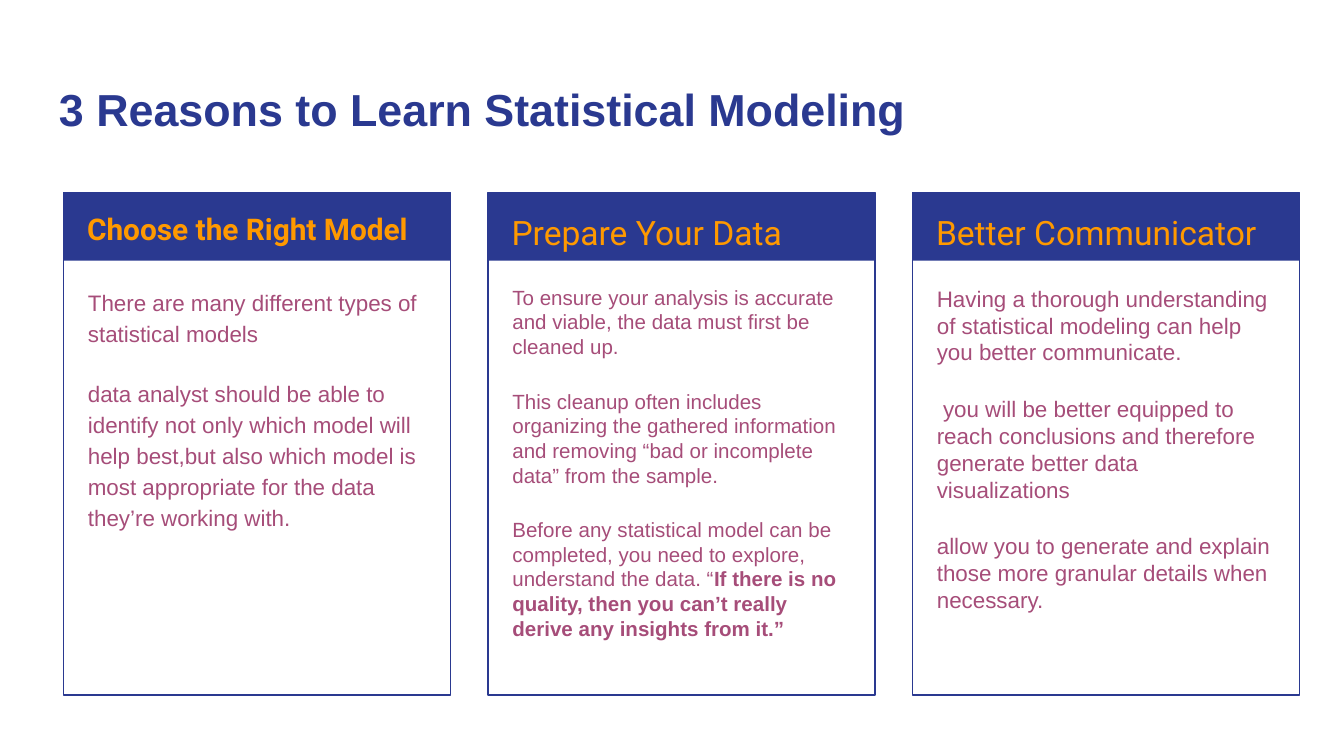
from dataclasses import dataclass

import pptx
import pptx.dml.color
import pptx.enum.shapes
import pptx.enum.text
import pptx.util

Pt = pptx.util.Pt
Anchor = pptx.enum.text.MSO_ANCHOR

NAVY, ORANGE, PLUM = "2A3990", "FF9900", "A64D79"
FIRST_LEFT, COLUMN_PITCH, COLUMN_WIDTH = 34, 227.4, 207.4
COLUMN_TOP, BAND_HEIGHT, COLUMN_HEIGHT = 103, 36.6, 269.3


@dataclass(frozen=True)
class Span:
    text: str
    bold: bool = False


@dataclass(frozen=True)
class Style:
    size: float
    color: str
    font: str = "Arial"
    spacing: float = 1.0
    gap: float = 0


@dataclass(frozen=True)
class Reason:
    heading: Span
    heading_size: float
    body_size: float
    body_spacing: float
    paragraphs: list[list[Span]]


REASONS = [
    Reason(Span("Choose the Right Model", True), 16, 12, 1.15, [
        [Span("There are many different types of statistical models")],
        [Span("data analyst should be able to identify not only which model will help "
              "best,but also which model is most appropriate for the data they’re working with.")],
    ]),
    Reason(Span("Prepare Your Data"), 18, 11, 1.0, [
        [Span("To ensure your analysis is accurate and viable, the data must first be cleaned up.")],
        [Span("This cleanup often includes organizing the gathered information and removing "
              "“bad or incomplete data” from the sample.")],
        [Span("Before any statistical model can be completed, you need to explore, "
              "understand the data. “"),
         Span("If there is no quality, then you can’t really derive any insights from it.”", True)],
    ]),
    Reason(Span("Better Communicator"), 18, 12, 1.0, [
        [Span("Having a thorough understanding of statistical modeling can help you "
              "better communicate.")],
        [Span(" you will be better equipped to reach conclusions and therefore generate "
              "better data visualizations")],
        [Span("allow you to generate and explain those more granular details when necessary.")],
    ]),
]


def rgb(color: str) -> pptx.dml.color.RGBColor:
    return pptx.dml.color.RGBColor.from_string(color)


def add_text(slide, left: float, top: float, width: float, height: float,
             paragraphs: list[list[Span]], style: Style, anchor=Anchor.TOP) -> None:
    frame = slide.shapes.add_textbox(Pt(left), Pt(top), Pt(width), Pt(height)).text_frame
    frame.word_wrap = True
    frame.vertical_anchor = anchor
    frame.margin_left = frame.margin_right = Pt(7.2)
    frame.margin_top = frame.margin_bottom = Pt(7.2)
    for index, spans in enumerate(paragraphs):
        paragraph = frame.add_paragraph() if index else frame.paragraphs[0]
        paragraph.line_spacing = style.spacing
        paragraph.space_before = Pt(style.gap if index else 0)
        for span in spans:
            run = paragraph.add_run()
            run.text = span.text
            run.font.name = style.font
            run.font.size = Pt(style.size)
            run.font.bold = span.bold
            run.font.color.rgb = rgb(style.color)


def add_panel(slide, left: float, height: float, filled: bool) -> None:
    panel = slide.shapes.add_shape(
        pptx.enum.shapes.MSO_SHAPE.RECTANGLE,
        Pt(left), Pt(COLUMN_TOP), Pt(COLUMN_WIDTH), Pt(height))
    panel.shadow.inherit = False
    if filled:
        panel.fill.solid()
        panel.fill.fore_color.rgb = rgb(NAVY)
        panel.line.fill.background()
    else:
        panel.fill.background()
        panel.line.color.rgb = rgb(NAVY)
        panel.line.width = Pt(0.75)


def add_reason(slide, left: float, reason: Reason) -> None:
    add_panel(slide, left, BAND_HEIGHT, True)
    add_panel(slide, left, COLUMN_HEIGHT, False)
    add_text(slide, left + 5.6, COLUMN_TOP, 196.6, 36, [[reason.heading]],
             Style(reason.heading_size, ORANGE, "Roboto", 1.15))
    add_text(slide, left + 6, 145.4, 195.1, 220.3, reason.paragraphs,
             Style(reason.body_size, PLUM, spacing=reason.body_spacing, gap=16))


def main() -> None:
    """Build the slide with three reasons to learn statistical modeling."""
    deck = pptx.Presentation()
    deck.slide_width, deck.slide_height = Pt(720), Pt(405)
    slide = deck.slides.add_slide(deck.slide_layouts[6])
    add_text(slide, 24.5, 32.4, 671, 47.5,
             [[Span("3 Reasons to Learn Statistical Modeling", True)]],
             Style(24, NAVY, spacing=1.12), Anchor.BOTTOM)
    for index, reason in enumerate(REASONS):
        add_reason(slide, FIRST_LEFT + index * COLUMN_PITCH, reason)
    deck.save("out.pptx")


if __name__ == "__main__":
    main()
